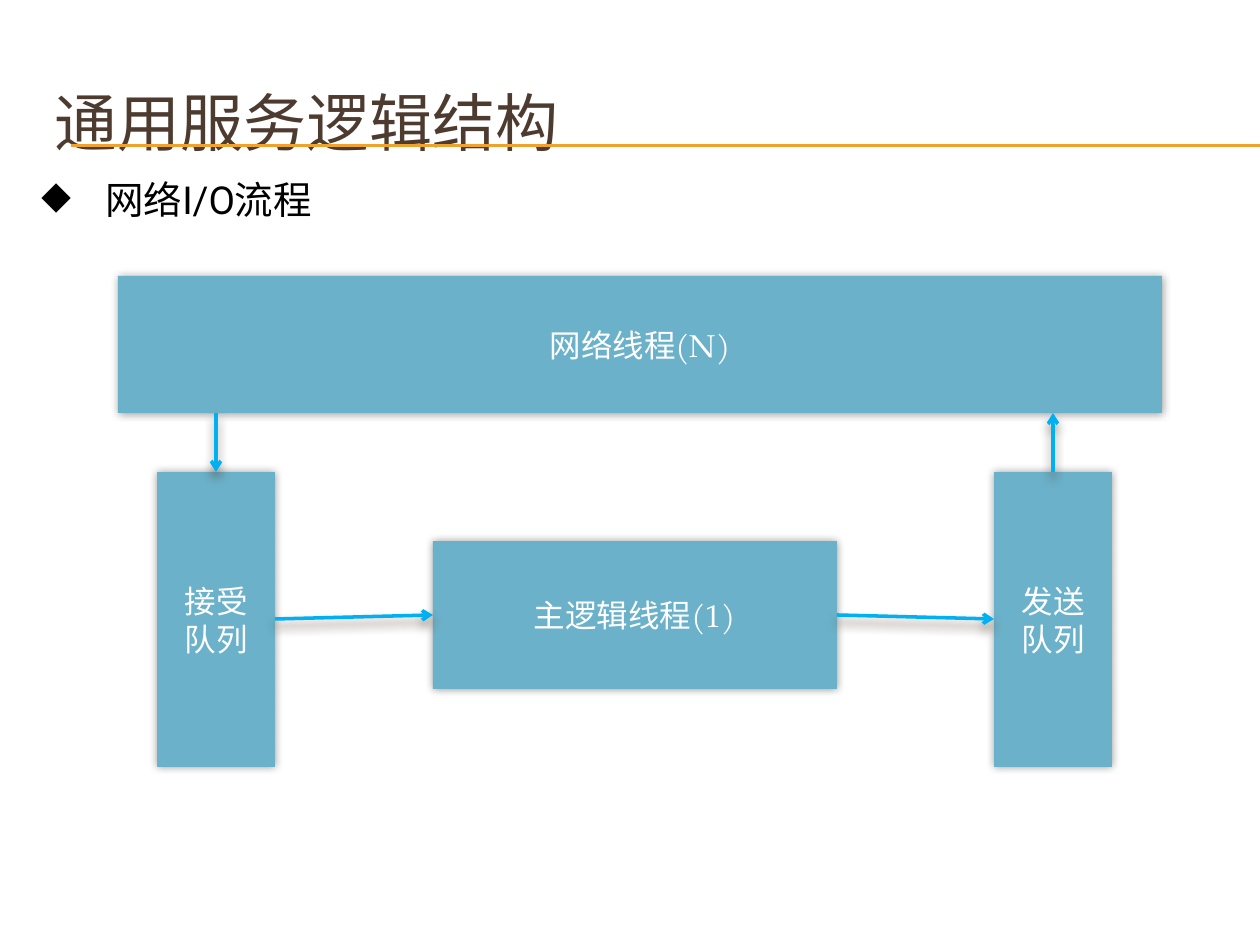
from lxml import etree
from pptx import Presentation
from pptx import util as u
from pptx.dml.color import RGBColor
from pptx.enum import shapes, text
from pptx.oxml import ns

COLORS = {"title": "4E3B30", "body": "000000", "rule": "F0A22E",
          "box": "6BB1C9", "label": "FFFFFF", "arrow": "00B0F0"}
BOX_SHADOW = {"color": "000000", "alpha": 40, "blur": 5, "dist": 0, "dir": 0}
ARROW_SHADOW = {"color": "4E3B30", "alpha": 60, "blur": 6, "dist": 4, "dir": 90}


class Deck:
    """Holds the style and current slide and draws each kind of element."""

    head, body = "Roboto", "TeX Gyre Pagella"
    scale = u.Inches(1) / 126

    def __init__(self, prs):
        self.s = prs.slides.add_slide(prs.slide_layouts[5])

    def px(self, *vals):
        return [u.Emu(round(v * self.scale)) for v in vals]

    def color(self, name):
        return RGBColor.from_string(COLORS[name])

    def label(self, tf, words, size, font, color, align, anchor):
        frame = {"word_wrap": True, "vertical_anchor": anchor,
                 "auto_size": text.MSO_AUTO_SIZE.NONE}
        for key, val in frame.items():
            setattr(tf, key, val)
        p = tf.paragraphs[0]
        p.alignment = align
        r = p.add_run()
        r.text = words
        for key, val in {"size": u.Pt(size), "name": font, "bold": False}.items():
            setattr(r.font, key, val)
        r.font.color.rgb = self.color(color)
        return p

    def title(self, words, *box):
        sp = self.s.shapes.title
        for key, val in zip(("left", "top", "width", "height"), self.px(*box)):
            setattr(sp, key, val)
        self.label(sp.text_frame, words, 36, self.head, "title",
                   text.PP_ALIGN.LEFT, text.MSO_ANCHOR.MIDDLE)

    def bullet(self, words, indent, *box):
        sp = self.s.shapes.add_textbox(*self.px(*box))
        p = self.label(sp.text_frame, words, 22, self.head, "body",
                       text.PP_ALIGN.LEFT, text.MSO_ANCHOR.TOP)
        p.line_spacing = 1.5
        pPr = p._p.get_or_add_pPr()
        gap = self.px(indent)[0]
        pPr.set("marL", str(gap))
        pPr.set("indent", str(-gap))
        etree.SubElement(pPr, ns.qn("a:buChar"), char="◆")

    def shadow(self, effects, look):
        shade = etree.SubElement(
            effects, ns.qn("a:outerShdw"), blurRad=str(u.Pt(look["blur"])),
            dist=str(u.Pt(look["dist"])), dir=str(look["dir"] * 60000),
            rotWithShape="0")
        clr = etree.SubElement(shade, ns.qn("a:srgbClr"), val=look["color"])
        etree.SubElement(clr, ns.qn("a:alpha"), val=str(look["alpha"] * 1000))

    def box(self, words, *box):
        sp = self.s.shapes.add_shape(shapes.MSO_SHAPE.RECTANGLE, *self.px(*box))
        sp.fill.solid()
        sp.fill.fore_color.rgb = self.color("box")
        sp.line.fill.background()
        sp.shadow.inherit = False
        self.shadow(sp._element.spPr.find(ns.qn("a:effectLst")), BOX_SHADOW)
        self.label(sp.text_frame, words, 18, self.body, "label",
                   text.PP_ALIGN.CENTER, text.MSO_ANCHOR.MIDDLE)

    def line(self, color, width, *ends):
        c = self.s.shapes.add_connector(shapes.MSO_CONNECTOR.STRAIGHT, *self.px(*ends))
        c.line.color.rgb = self.color(color)
        c.line.width = u.Pt(width)
        return c, etree.SubElement(c._element.spPr, ns.qn("a:effectLst"))

    def arrow(self, *ends):
        c, effects = self.line("arrow", 2, *ends)
        ln = c._element.spPr.find(ns.qn("a:ln"))
        etree.SubElement(ln, ns.qn("a:tailEnd"), type="arrow")
        self.shadow(effects, ARROW_SHADOW)


def main():
    prs = Presentation()
    prs.slide_width, prs.slide_height = u.Inches(10), u.Inches(7.5)
    d = Deck(prs)
    for y in (145, 146):
        d.line("rule", 0.75, 71, y, 1260, y)
    d.title("通用服务逻辑结构", 42, 63, 1197, 116)
    d.bullet("网络I/O流程", 64, 29, 147, 1231, 76)

    receive, send, queue_w, queue_y, queue_h = 157, 994, 118, 472, 295
    net_y, net_h = 276, 137
    main_x, main_y, main_w, main_h = 433, 541, 404, 148
    for words, x in (("接受队列", receive), ("发送队列", send)):
        d.box(words, x, queue_y, queue_w, queue_h)
    d.box("网络线程(N)", 118, net_y, 1044, net_h)
    d.box("主逻辑线程(1)", main_x, main_y, main_w, main_h)

    net_end = net_y + net_h
    down, up = receive + queue_w // 2, send + queue_w // 2
    queue_mid, main_mid = queue_y + queue_h // 2, main_y + main_h // 2
    d.arrow(down, net_end, down, queue_y)
    d.arrow(up, queue_y, up, net_end)
    d.arrow(receive + queue_w, queue_mid, main_x, main_mid)
    d.arrow(main_x + main_w, main_mid, send, queue_mid)
    prs.save("out.pptx")


if __name__ == "__main__":
    main()
